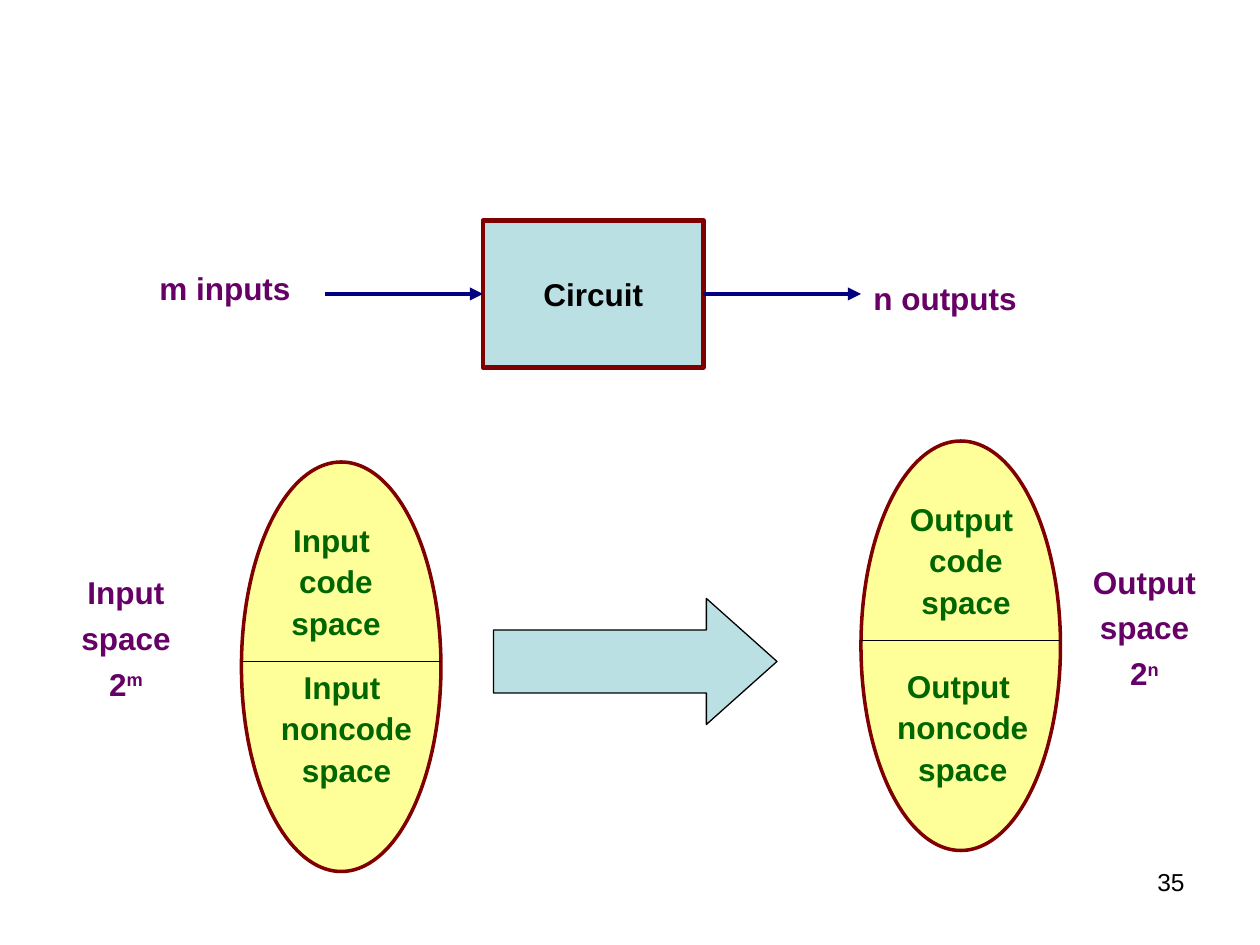
import pptx
import pptx.dml.color
import pptx.enum.shapes
import pptx.enum.text
import pptx.oxml.ns
import pptx.util
from lxml import etree

PX = 7620  # EMU per px, 120 px to the inch
SHAPES = pptx.enum.shapes.MSO_SHAPE
ALIGN = pptx.enum.text.PP_ALIGN
ANCHOR = pptx.enum.text.MSO_ANCHOR

PALE_BLUE, YELLOW = "BBE0E3", "FFFF99"
MAROON, NAVY, BLACK = "800000", "000080", "000000"
PURPLE, GREEN = "660066", "006600"


def rgb(value):
    return pptx.dml.color.RGBColor.from_string(value)


def emu(*lengths):
    return [length * PX for length in lengths]


def set_formats(target, formats):
    for name, value in formats.items():
        setattr(target, name, value)


class Diagram:
    def __init__(self, slide, font="Arial"):
        self.slide = slide
        self.font = font

    def outline(self, line, color, width):
        line.color.rgb = rgb(color)
        line.width = pptx.util.Pt(width)

    def shape(self, kind, frame, fill, color, width):
        shape = self.slide.shapes.add_shape(kind, *emu(*frame))
        shape.shadow.inherit = False
        shape.fill.solid()
        shape.fill.fore_color.rgb = rgb(fill)
        self.outline(shape.line, color, width)
        return shape

    def connector(self, start, end, color, width, arrow=False):
        connector = self.slide.shapes.add_connector(
            pptx.enum.shapes.MSO_CONNECTOR.STRAIGHT, *emu(*start, *end))
        self.outline(connector.line, color, width)
        properties = connector._element.spPr
        etree.SubElement(properties, pptx.oxml.ns.qn("a:effectLst"))
        if arrow:
            line = properties.find(pptx.oxml.ns.qn("a:ln"))
            etree.SubElement(line, pptx.oxml.ns.qn("a:tailEnd"), type="triangle")
        return connector

    def fill_text(self, frame, lines, color, size=18, bold=True, align=ALIGN.CENTER, gap=0):
        """Fill a text frame; a line given as a pair is a base and its superscript."""
        for index, line in enumerate(lines):
            para = frame.add_paragraph() if index else frame.paragraphs[0]
            para.alignment = align
            if index:
                para.space_before = pptx.util.Pt(gap)
            pieces = (line,) if isinstance(line, str) else line
            for level, piece in enumerate(pieces):
                span = para.add_run()
                span.text = piece
                set_formats(span.font, {"name": self.font, "size": pptx.util.Pt(size), "bold": bold})
                span.font.color.rgb = rgb(color)
                if level:
                    span._r.get_or_add_rPr().set("baseline", "30000")

    def text(self, frame, lines, color, **formats):
        box = self.slide.shapes.add_textbox(*emu(*frame))
        box.text_frame.word_wrap = True
        self.fill_text(box.text_frame, lines, color, **formats)


def main():
    deck = pptx.Presentation()
    deck.slide_width, deck.slide_height = emu(1200, 900)
    diagram = Diagram(deck.slides.add_slide(deck.slide_layouts[6]))

    circuit = diagram.shape(SHAPES.RECTANGLE, (460, 210, 210, 140), PALE_BLUE, MAROON, 2.5)
    set_formats(circuit.text_frame, {"word_wrap": False, "vertical_anchor": ANCHOR.MIDDLE})
    diagram.fill_text(circuit.text_frame, ["Circuit"], BLACK)

    signal_in = diagram.connector((310, 280), (460, 280), NAVY, 2.5, arrow=True)
    signal_in.end_connect(circuit, 1)
    signal_out = diagram.connector((670, 280), (820, 280), NAVY, 2.5, arrow=True)
    signal_out.begin_connect(circuit, 3)
    for left, top, label in ((140, 250, "m inputs"), (820, 260, "n outputs")):
        diagram.text((left, top, 220, 48), [label], PURPLE, align=ALIGN.LEFT)

    # name, exponent, ellipse corner, then corners of the label, code and noncode texts
    spaces = (
        ("Input", "m", (230, 440), (30, 540), (230, 490), (240, 630)),
        ("Output", "n", (820, 420), (1000, 530), (830, 470), (827, 629)),
    )
    for name, exponent, (left, top), label, code, noncode in spaces:
        diagram.shape(SHAPES.OVAL, (left, top, 190, 390), YELLOW, MAROON, 2)
        diagram.connector((left, top + 190), (left + 190, top + 190), BLACK, 0.75)
        diagram.text((*label, 180, 136), [name, "space", ("2", exponent)], PURPLE, gap=4.5)
        for corner, word in ((code, "code"), (noncode, "noncode")):
            diagram.text((*corner, 180, 127), [name + " ", word, "space"], GREEN, gap=2.2)

    mapping = diagram.shape(SHAPES.RIGHT_ARROW, (470, 570, 270, 120), PALE_BLUE, BLACK, 0.75)
    mapping.adjustments[1] = 0.56
    diagram.text((860, 820, 280, 62), ["35"], BLACK, size=14, bold=False, align=ALIGN.RIGHT)

    deck.save("out.pptx")


if __name__ == "__main__":
    main()
